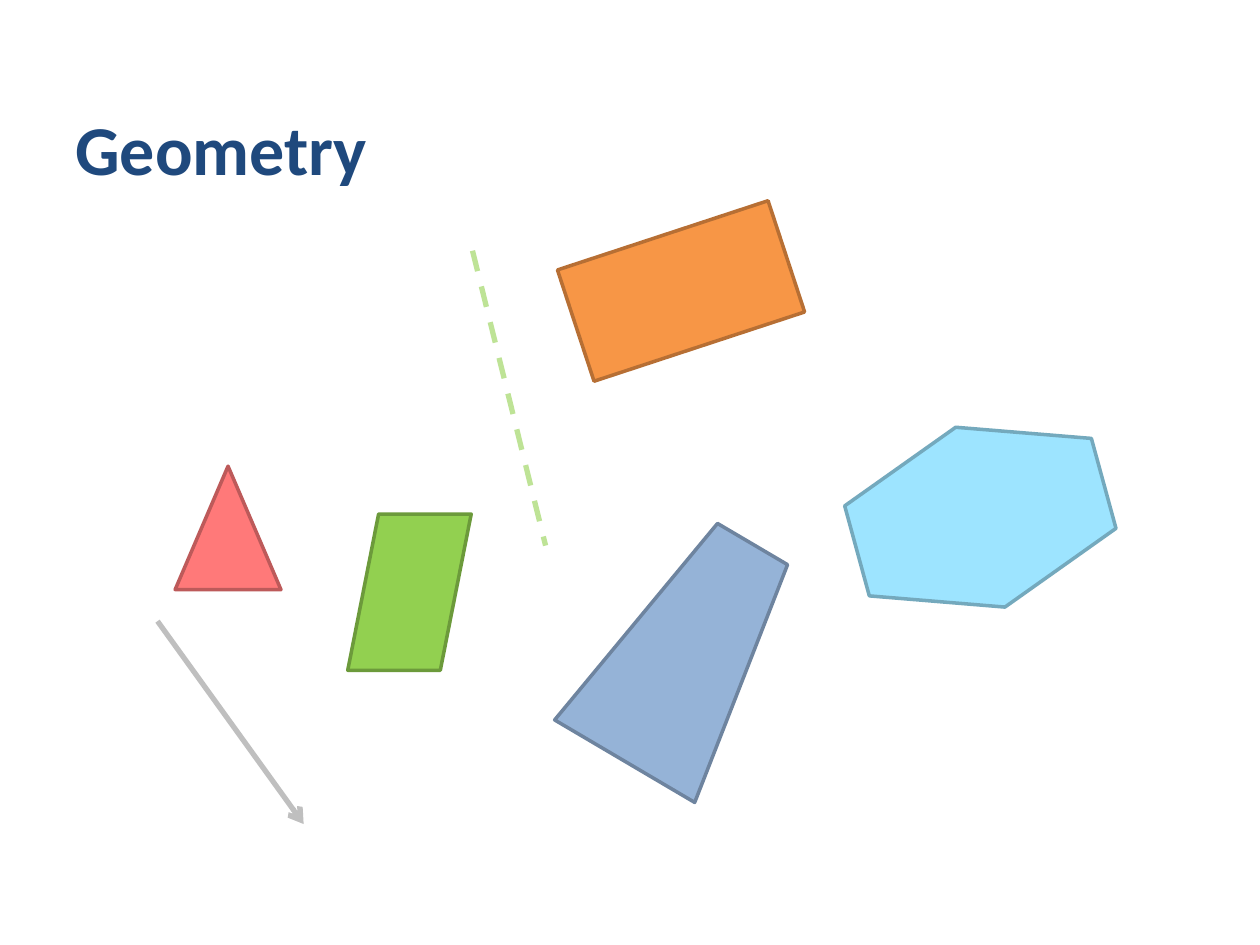
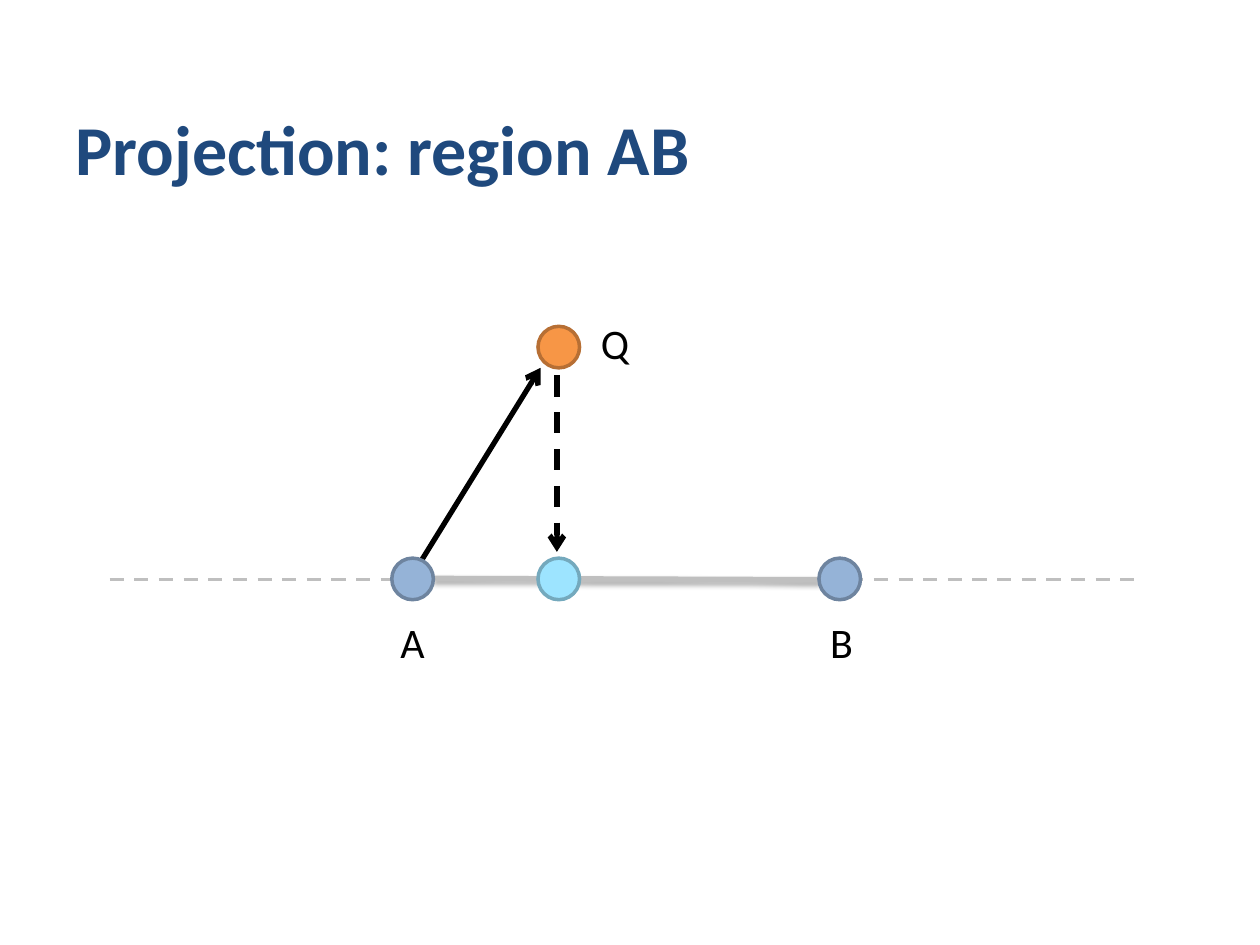
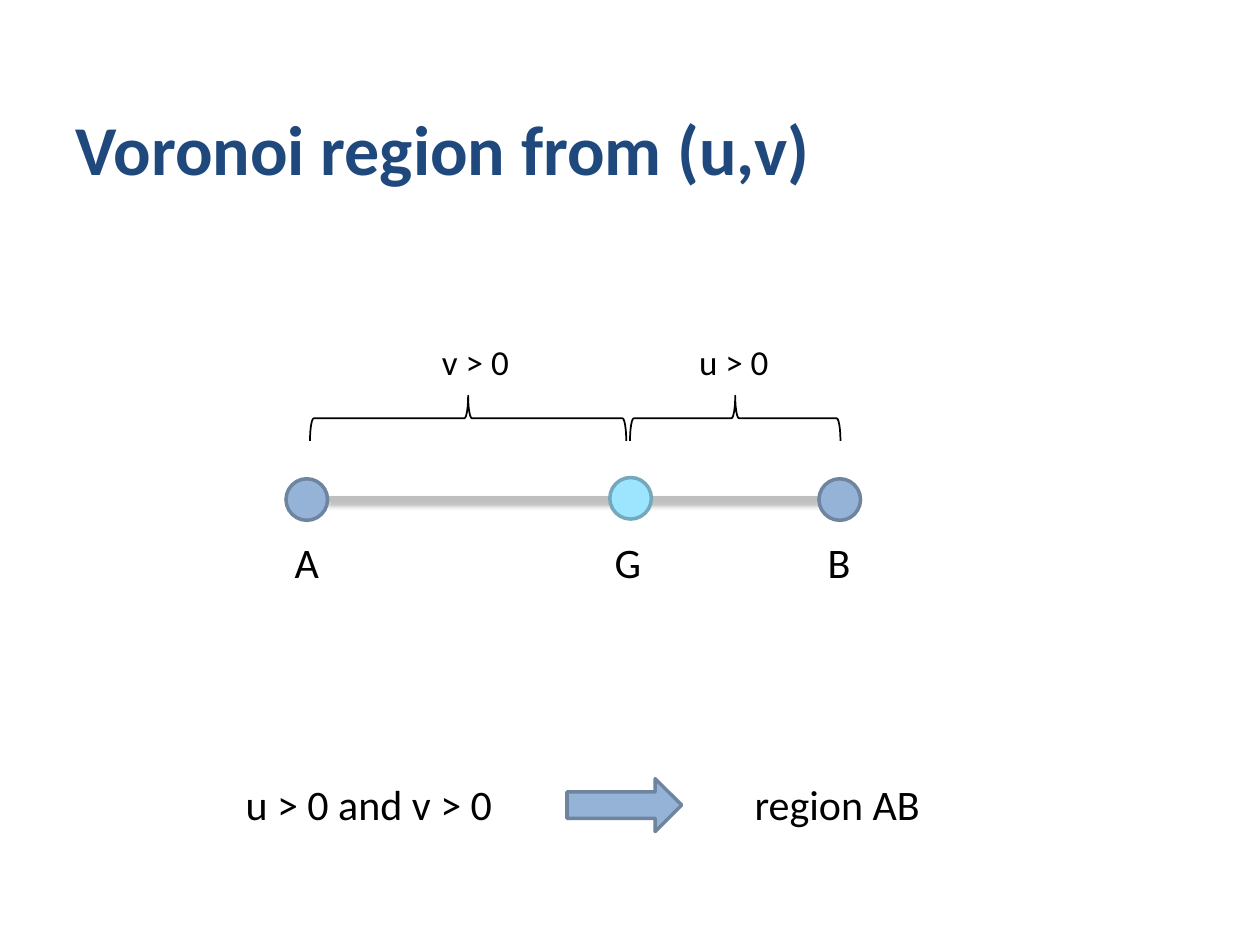
from lxml import etree
from pptx import Presentation
from pptx.dml.color import RGBColor
from pptx.enum.dml import MSO_LINE
from pptx.enum.shapes import MSO_CONNECTOR, MSO_SHAPE
from pptx.enum.text import MSO_ANCHOR, MSO_AUTO_SIZE
from pptx.oxml.ns import qn
from pptx.util import Inches, Pt

STRAIGHT = MSO_CONNECTOR.STRAIGHT
DASH = MSO_LINE.DASH
OVAL = MSO_SHAPE.OVAL
BRACE = MSO_SHAPE.LEFT_BRACE

FONT = "Calibri"
COLORS = {
    "title": "1F497D", "black": "000000", "gray": "BFBFBF", "pale green": "BEE396",
    "red": "FF7979", "red edge": "BD5A5A",
    "orange": "F79646", "orange edge": "B76F34",
    "blue": "95B3D7", "blue edge": "6E849F",
    "cyan": "9DE4FF", "cyan edge": "74A9BD",
    "green": "92D050", "green edge": "6C9A3B",
}
TITLE_BOX = (0.5, 0.13, 8.25, 1.42)
POINT_SIZE = 0.33
BRACE_DEPTH = 0.36

# preset, colour, (left, top, width, height), rotation
FIGURES = [
    (MSO_SHAPE.ISOSCELES_TRIANGLE, "red", (1.39, 3.7, 0.84, 0.98), 0),
    (MSO_SHAPE.RECTANGLE, "orange", (4.94, 1.43, 0.93, 1.76), 71.8),
    (MSO_SHAPE.TRAPEZOID, "blue", (4.82, 4.18, 1.29, 2), 30.5),
    (MSO_SHAPE.HEXAGON, "cyan", (7.04, 3.09, 1.48, 2.03), 74.7),
    (MSO_SHAPE.PARALLELOGRAM, "green", (2.76, 4.08, 0.98, 1.24), 0),
]

# colour, left, top
PROJECTION_POINTS = [
    ("orange", 4.27, 2.59), ("blue", 6.5, 4.43), ("blue", 3.11, 4.43), ("cyan", 4.27, 4.43),
]
VORONOI_POINTS = [("blue", 6.5, 3.8), ("blue", 2.27, 3.8), ("cyan", 4.84, 3.79)]

# text, (left, top, width, height), size
PROJECTION_LABELS = [
    ("Q", (4.67, 2.47, 0.43, 0.5), 24),
    ("A", (3.08, 4.84, 0.4, 0.5), 24),
    ("B", (6.49, 4.84, 0.38, 0.5), 24),
]
VORONOI_LABELS = [
    ("A", (2.24, 4.21, 0.4, 0.5), 24),
    ("G", (4.78, 4.21, 0.41, 0.5), 24),
    ("B", (6.47, 4.21, 0.38, 0.5), 24),
    ("u > 0 and v > 0", (1.85, 6.13, 2.18, 0.5), 24),
    ("region AB", (5.89, 6.13, 1.82, 0.5), 24),
    ("u > 0", (5.45, 2.65, 0.76, 0.44), 20),
    ("v > 0", (3.41, 2.65, 0.74, 0.44), 20),
]
BRACE_SPANS = [(2.46, 4.97), (5.0, 6.67)]
BRACE_MIDDLE = 3.32


def rgb(name):
    return RGBColor.from_string(COLORS[name])


def inches(values):
    return [Inches(value) for value in values]


def add_text(slide, text, box, size, color="black", bold=False):
    label = slide.shapes.add_textbox(*inches(box))
    frame = label.text_frame
    frame.text = text
    font = frame.paragraphs[0].runs[0].font
    font.name, font.size, font.bold = FONT, Pt(size), bold
    font.color.rgb = rgb(color)
    return frame


def add_label(slide, text, box, size):
    frame = add_text(slide, text, box, size)
    frame.word_wrap = box[2] > 1
    frame.auto_size = MSO_AUTO_SIZE.SHAPE_TO_FIT_TEXT


def add_titled_slide(deck, title):
    slide = deck.slides.add_slide(deck.slide_layouts[6])
    frame = add_text(slide, title, TITLE_BOX, 40, "title", bold=True)
    frame.word_wrap = True
    frame.vertical_anchor = MSO_ANCHOR.BOTTOM
    return slide


def add_figure(slide, preset, color, box, rotation=0):
    figure = slide.shapes.add_shape(preset, *inches(box))
    figure.rotation = rotation
    figure.shadow.inherit = False
    figure.fill.solid()
    figure.fill.fore_color.rgb = rgb(color)
    figure.line.color.rgb = rgb(color + " edge")
    figure.line.width = Pt(2)


def add_point(slide, color, left, top):
    add_figure(slide, OVAL, color, (left, top, POINT_SIZE, POINT_SIZE))


def add_line(slide, start, end, color, width=3, dashed=False, arrow=False, shadow=False):
    connector = slide.shapes.add_connector(STRAIGHT, *inches(start + end))
    line = connector.line
    line.color.rgb = rgb(color)
    line.width = Pt(width)
    if dashed:
        line.dash_style = DASH
    if arrow:
        etree.SubElement(line._get_or_add_ln(), qn("a:tailEnd"), type="arrow")
    effects = etree.SubElement(connector._element.spPr, qn("a:effectLst"))
    if shadow:
        outer = etree.SubElement(effects, qn("a:outerShdw"), blurRad=str(Pt(3.1)),
                                 dist=str(Pt(1.8)), dir="5400000", rotWithShape="0")
        shade = etree.SubElement(outer, qn("a:srgbClr"), val=COLORS["black"])
        etree.SubElement(shade, qn("a:alpha"), val="35000")


def add_brace(slide, start, end):
    """Turn a left brace upright over the span from start to end."""
    span = end - start
    left = (start + end - BRACE_DEPTH) / 2
    top = BRACE_MIDDLE - span / 2
    brace = slide.shapes.add_shape(BRACE, *inches((left, top, BRACE_DEPTH, span)))
    brace.rotation = 90
    brace.shadow.inherit = False
    brace.fill.background()
    brace.line.color.rgb = rgb("black")
    brace.line.width = Pt(1)


def build_geometry(deck):
    slide = add_titled_slide(deck, "Geometry")
    for figure in FIGURES:
        add_figure(slide, *figure)
    add_line(slide, (1.25, 4.93), (2.41, 6.54), "gray", arrow=True)
    add_line(slide, (3.75, 1.99), (4.33, 4.33), "pale green", dashed=True)


def build_projection(deck):
    slide = add_titled_slide(deck, "Projection: region AB")
    add_line(slide, (0.87, 4.6), (9.01, 4.6), "gray", width=2, dashed=True)
    add_line(slide, (3.44, 4.59), (6.5, 4.6), "gray", shadow=True)
    add_line(slide, (3.35, 4.44), (4.29, 2.92), "black", arrow=True)
    for point in PROJECTION_POINTS:
        add_point(slide, *point)
    add_line(slide, (4.42, 2.98), (4.42, 4.38), "black", dashed=True, arrow=True)
    for label in PROJECTION_LABELS:
        add_label(slide, *label)


def build_voronoi(deck):
    slide = add_titled_slide(deck, "Voronoi region from (u,v)")
    add_line(slide, (2.6, 3.96), (6.5, 3.96), "gray", shadow=True)
    for point in VORONOI_POINTS:
        add_point(slide, *point)
    for label in VORONOI_LABELS:
        add_label(slide, *label)
    add_figure(slide, MSO_SHAPE.RIGHT_ARROW, "blue", (4.5, 6.18, 0.91, 0.42))
    for start, end in BRACE_SPANS:
        add_brace(slide, start, end)


def main():
    deck = Presentation()
    deck.slide_width, deck.slide_height = Inches(10), Inches(7.5)
    build_geometry(deck)
    build_projection(deck)
    build_voronoi(deck)
    deck.save("out.pptx")


if __name__ == "__main__":
    main()
